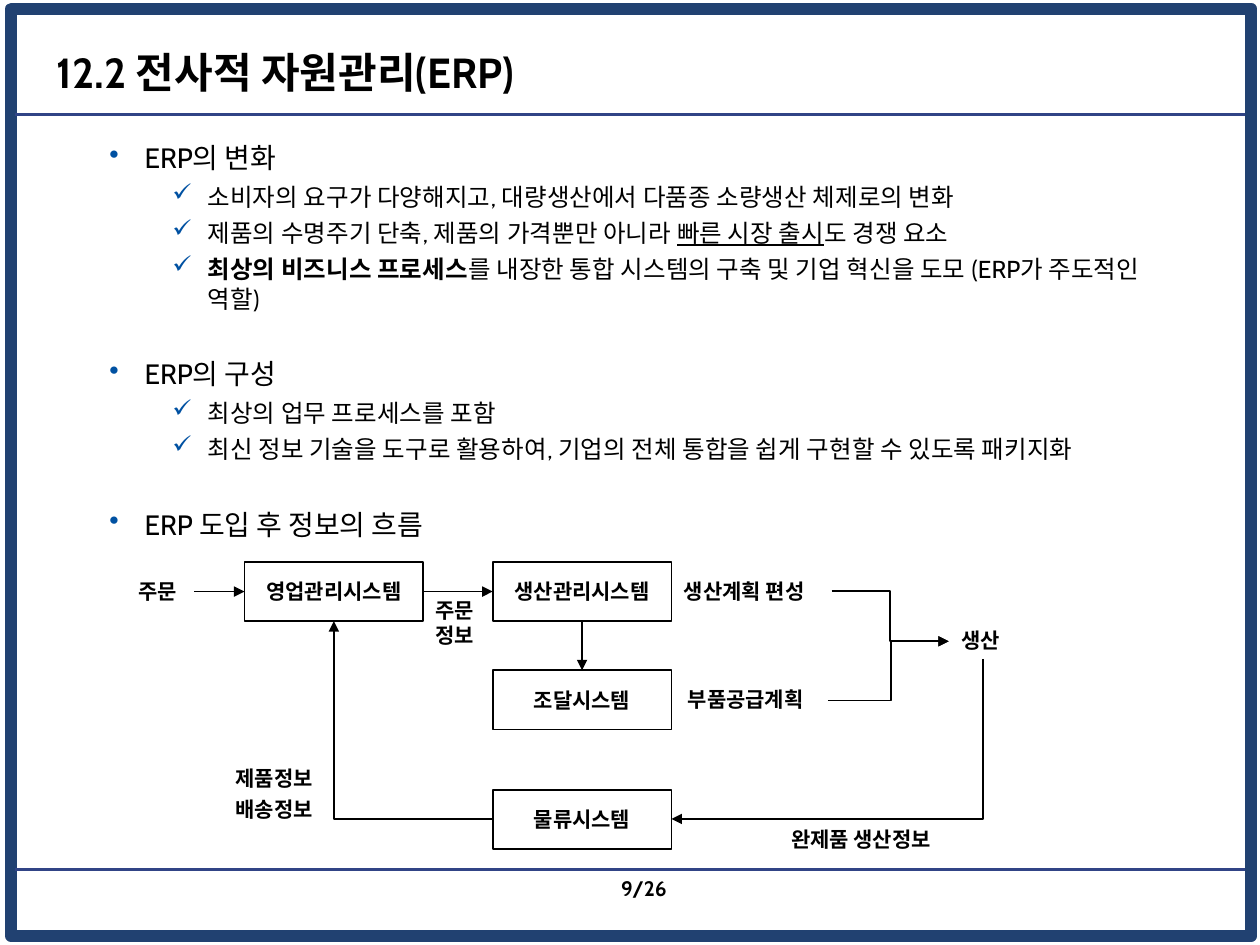
from typing import NamedTuple

from lxml import etree
from pptx import Presentation
from pptx.dml.color import RGBColor
from pptx.enum import shapes, text
from pptx.oxml import ns
from pptx.util import Inches, Pt

COLORS = {"ink": "000000", "frame": "214171", "rule": "314486", "bullet": "0051A2"}
BODY_FONT, DIAGRAM_FONT = "Cabin", "Noto Sans CJK KR"
BOX_WIDTH, BOX_HEIGHT = 1.42, 0.47
SALES_X, PLANT_X = 1.94, 3.91
TOP_Y, SUPPLY_Y, LOGISTICS_Y = 4.46, 5.32, 6.27
TOP, LEFT, BOTTOM, RIGHT = range(4)


class Level(NamedTuple):
    bullet: str
    margin: float
    size: int


class Item(NamedTuple):
    level: Level
    runs: list[tuple[str, str]]  # wording and style: "", "bold" or "underline"
    space_before: float = 4


class Label(NamedTuple):
    words: str
    left: float
    top: float
    width: float
    height: float = 0.3


class Elbow(NamedTuple):
    """A bent arrow, given by its ends before rotation."""
    start: tuple[float, float]
    end: tuple[float, float]
    preset: str
    rotation: int = 0
    bend: int | None = None


HEADING = Level("•", 0.78, 16)
POINT = Level("✓", 1.28, 14)
SECTION_GAP = 25

ITEMS = [
    Item(HEADING, [("ERP의 변화", "")]),
    Item(POINT, [("소비자의 요구가 다양해지고, 대량생산에서 다품종 소량생산 체제로의 변화", "")]),
    Item(POINT, [("제품의 수명주기 단축, 제품의 가격뿐만 아니라 ", ""),
                 ("빠른 시장 출시", "underline"), ("도 경쟁 요소", "")]),
    Item(POINT, [("최상의 비즈니스 프로세스", "bold"),
                 ("를 내장한 통합 시스템의 구축 및 기업 혁신을 도모 (ERP가 주도적인 역할)", "")]),
    Item(HEADING, [("ERP의 구성", "")], SECTION_GAP),
    Item(POINT, [("최상의 업무 프로세스를 포함", "")]),
    Item(POINT, [("최신 정보 기술을 도구로 활용하여, 기업의 전체 통합을 쉽게 구현할 수 있도록 패키지화", "")]),
    Item(HEADING, [("ERP 도입 후 정보의 흐름", "")], SECTION_GAP),
]
SYSTEMS = {
    "영업관리시스템": (SALES_X, TOP_Y),
    "생산관리시스템": (PLANT_X, TOP_Y),
    "조달시스템": (PLANT_X, SUPPLY_Y),
    "물류시스템": (PLANT_X, LOGISTICS_Y),
}
LABELS = [
    Label("주문", 1, 4.54, 0.54),
    Label("주문\n정보", 3.36, 4.69, 0.54, 0.5),
    Label("생산계획 편성", 5.33, 4.54, 1.27),
    Label("부품공급계획", 5.36, 5.4, 1.21),
    Label("생산", 7.53, 4.93, 0.54),
    Label("완제품 생산정보", 6.18, 6.51, 1.44),
    Label("제품정보", 1.77, 6.03, 0.88),
    Label("배송정보", 1.77, 6.27, 0.88),
]
ELBOWS = [
    Elbow((6.6, 4.69), (7.53, 5.09), "bentConnector3"),
    Elbow((6.57, 5.56), (7.53, 5.09), "bentConnector3", bend=52100),
    Elbow((5.93, 4.63), (7.2, 7.1), "bentConnector2", rotation=90),
    Elbow((2.65, 4.93), (3.91, 6.5), "bentConnector2", rotation=180),
]


def color(name: str) -> RGBColor:
    return RGBColor.from_string(COLORS[name])


def add_element(parent, tag: str, **attributes: str):
    return etree.SubElement(parent, ns.qn(tag), attributes)


def format_paragraph(paragraph, size: int, font_name: str, bold: bool = True) -> None:
    font = paragraph.font
    font.size, font.name, font.bold = Pt(size), font_name, bold
    font.color.rgb = color("ink")
    add_element(paragraph._p.pPr.find(ns.qn("a:defRPr")), "a:ea", typeface=font_name)


def add_label(slide, label: Label, font_name: str = DIAGRAM_FONT, align=None) -> None:
    box = slide.shapes.add_textbox(*map(Inches, label[1:]))
    frame = box.text_frame
    frame.word_wrap = False
    frame.auto_size = text.MSO_AUTO_SIZE.SHAPE_TO_FIT_TEXT
    frame.text = label.words
    for paragraph in frame.paragraphs:
        paragraph.alignment = align
        format_paragraph(paragraph, 12, font_name)


def add_rectangle(slide, left: float, top: float, width: float, height: float,
                  line_color: str, line_width: float):
    shape = slide.shapes.add_shape(shapes.MSO_SHAPE.RECTANGLE,
                                   *map(Inches, (left, top, width, height)))
    shape.shadow.inherit = False
    shape.fill.background()
    shape.line.color.rgb = color(line_color)
    shape.line.width = Pt(line_width)
    return shape


def add_system(slide, name: str, left: float, top: float):
    shape = add_rectangle(slide, left, top, BOX_WIDTH, BOX_HEIGHT, "ink", 1)
    frame = shape.text_frame
    frame.word_wrap = False
    frame.vertical_anchor = text.MSO_ANCHOR.MIDDLE
    frame.text = name
    frame.paragraphs[0].alignment = text.PP_ALIGN.CENTER
    format_paragraph(frame.paragraphs[0], 12, DIAGRAM_FONT)
    return shape


def add_line(slide, start, end, line_color: str = "ink", width: float = 1,
             arrow: bool = True, kind=shapes.MSO_CONNECTOR.STRAIGHT):
    connector = slide.shapes.add_connector(kind, *map(Inches, (*start, *end)))
    connector.line.color.rgb = color(line_color)
    connector.line.width = Pt(width)
    if arrow:
        add_element(connector.line._get_or_add_ln(), "a:tailEnd", type="triangle")
    add_element(connector._element.spPr, "a:effectLst")
    return connector


def add_elbow(slide, elbow: Elbow) -> None:
    connector = add_line(slide, elbow.start, elbow.end, kind=shapes.MSO_CONNECTOR.ELBOW)
    properties = connector._element.spPr
    geometry = properties.find(ns.qn("a:prstGeom"))
    geometry.set("prst", elbow.preset)
    if elbow.rotation:
        properties.find(ns.qn("a:xfrm")).set("rot", str(elbow.rotation * 60000))
    if elbow.bend:
        add_element(geometry.find(ns.qn("a:avLst")), "a:gd", name="adj1", fmla=f"val {elbow.bend}")


def add_item(paragraph, item: Item) -> None:
    paragraph.space_before = Pt(item.space_before)
    properties = paragraph._p.get_or_add_pPr()
    properties.set("marL", str(Inches(item.level.margin)))
    properties.set("indent", str(Inches(-0.28)))
    bullet_color = add_element(properties, "a:buClr")
    add_element(bullet_color, "a:srgbClr", val=COLORS["bullet"])
    add_element(properties, "a:buChar", char=item.level.bullet)
    for words, style in item.runs:
        run = paragraph.add_run()
        run.text = words
        if style:
            setattr(run.font, style, True)
    format_paragraph(paragraph, item.level.size, BODY_FONT, bold=False)


def add_body(slide) -> None:
    frame = slide.shapes.add_textbox(*map(Inches, (0.27, 1.07, 9.22, 5.67))).text_frame
    frame.word_wrap = True
    for index, item in enumerate(ITEMS):
        add_item(frame.add_paragraph() if index else frame.paragraphs[0], item)


def format_title(title) -> None:
    title.left, title.top, title.width, title.height = map(Inches, (0.35, 0.3, 7.8, 0.54))
    title.text_frame.text = "12.2 전사적 자원관리(ERP)"
    title.text_frame.vertical_anchor = text.MSO_ANCHOR.MIDDLE
    paragraph = title.text_frame.paragraphs[0]
    paragraph.alignment = text.PP_ALIGN.LEFT
    format_paragraph(paragraph, 24, BODY_FONT)


def add_diagram(slide) -> None:
    sales, production, supply, _ = [add_system(slide, name, *place)
                                    for name, place in SYSTEMS.items()]
    middle = TOP_Y + BOX_HEIGHT / 2
    center = PLANT_X + BOX_WIDTH / 2
    order = add_line(slide, (1.54, middle), (SALES_X, middle))
    order.end_connect(sales, LEFT)
    for source, side, target, target_side in [(sales, RIGHT, production, LEFT),
                                              (production, BOTTOM, supply, TOP)]:
        link = add_line(slide, (center, middle), (center, SUPPLY_Y))
        link.begin_connect(source, side)
        link.end_connect(target, target_side)
    for elbow in ELBOWS:
        add_elbow(slide, elbow)
    for label in LABELS:
        add_label(slide, label)


def main() -> None:
    presentation = Presentation()
    presentation.slide_width, presentation.slide_height = Inches(10), Inches(7.5)
    slide = presentation.slides.add_slide(presentation.slide_layouts[5])
    format_title(slide.shapes.title)
    add_rectangle(slide, 0.09, 0.07, 9.84, 7.36, "frame", 7)
    for y in (0.91, 6.9):
        add_line(slide, (0.12, y), (9.88, y), "rule", 2, arrow=False)
    add_label(slide, Label("9/26", 4.6, 6.9, 0.79), BODY_FONT, text.PP_ALIGN.RIGHT)
    add_body(slide)
    add_diagram(slide)
    presentation.save("out.pptx")


if __name__ == "__main__":
    main()
